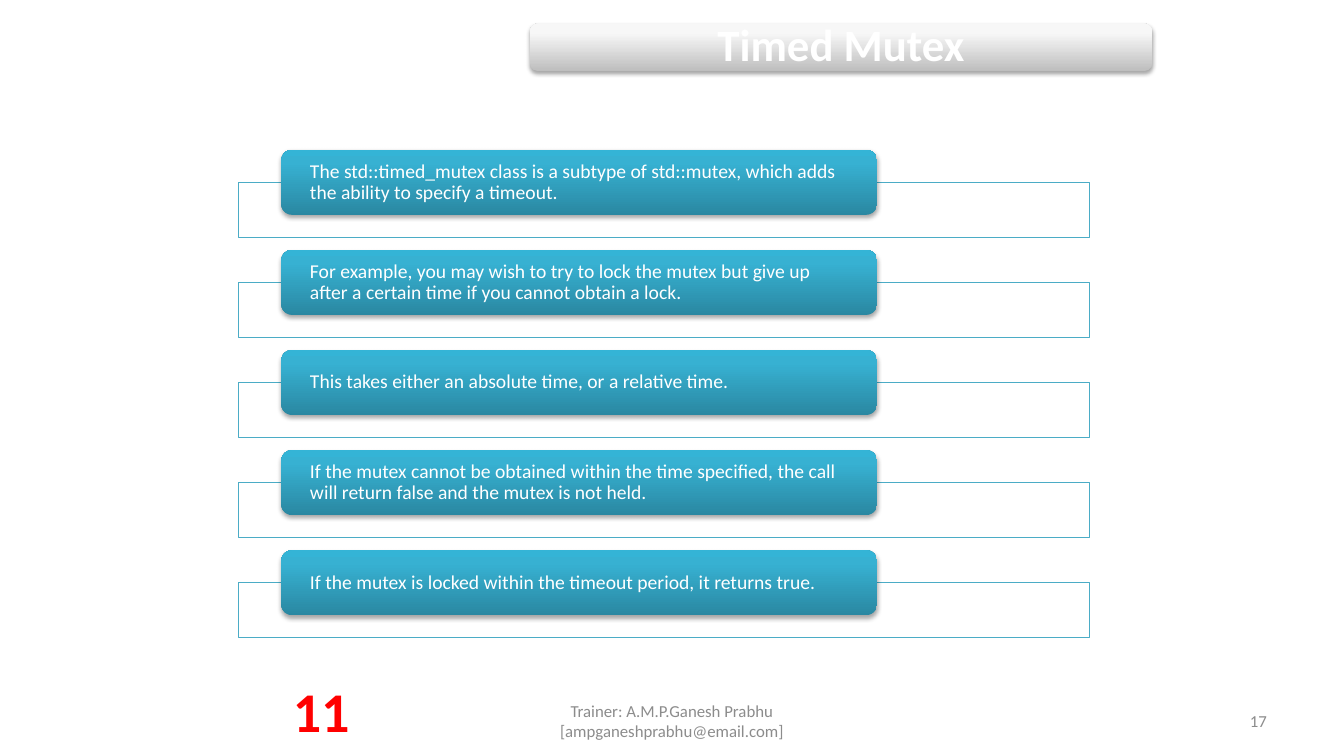
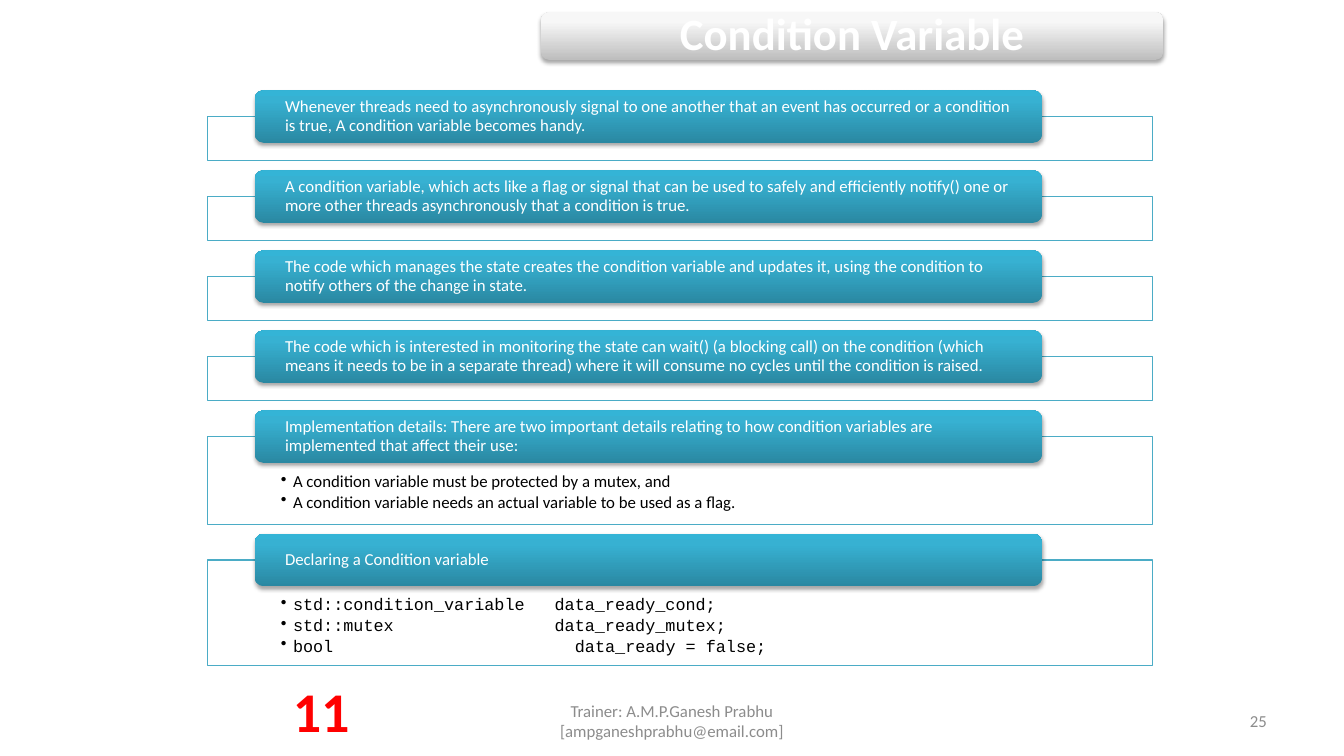
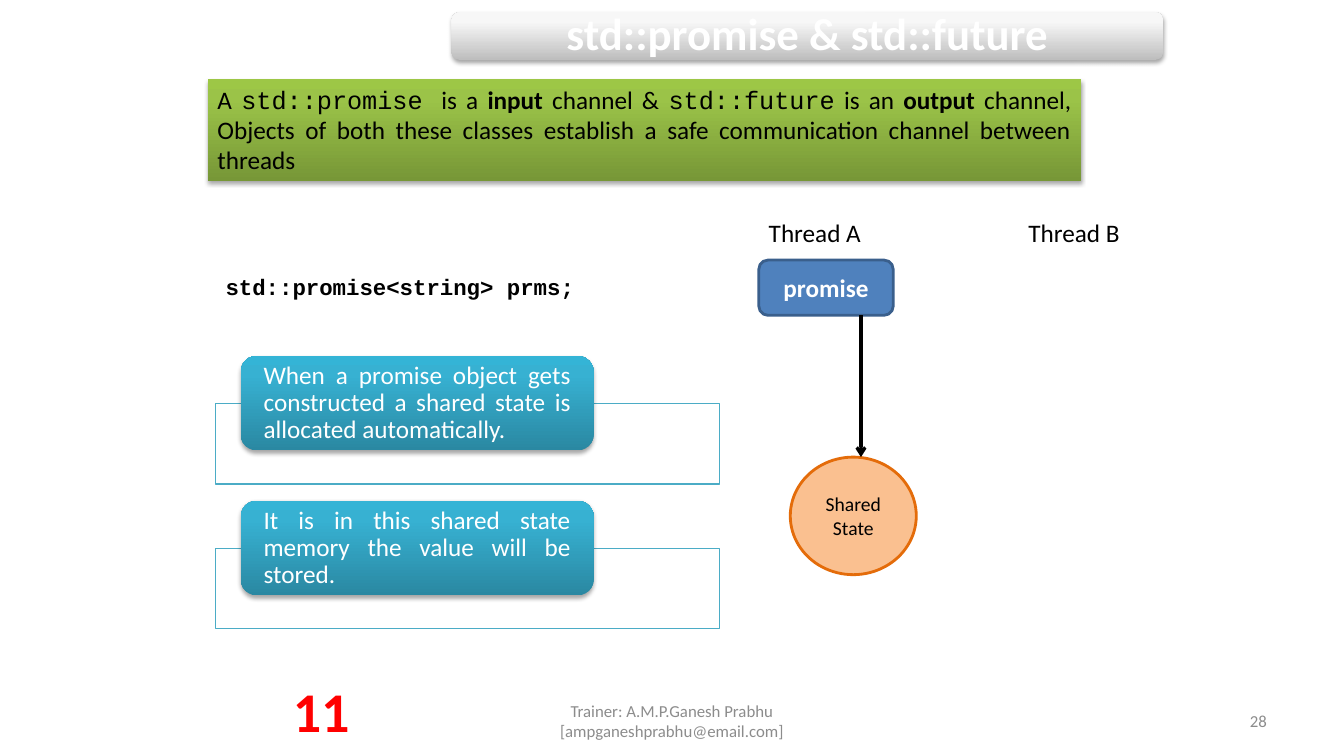
from lxml import etree
from pptx import Presentation
from pptx.dml.color import RGBColor
from pptx.enum.shapes import MSO_CONNECTOR, MSO_SHAPE
from pptx.enum.text import MSO_ANCHOR, PP_ALIGN
from pptx.oxml.ns import qn
from pptx.util import Pt

RECT, ROUND, OVAL = MSO_SHAPE.RECTANGLE, MSO_SHAPE.ROUNDED_RECTANGLE, MSO_SHAPE.OVAL
STRAIGHT = MSO_CONNECTOR.STRAIGHT
TOP, MIDDLE = MSO_ANCHOR.TOP, MSO_ANCHOR.MIDDLE
LEFT, CENTER, RIGHT = PP_ALIGN.LEFT, PP_ALIGN.CENTER, PP_ALIGN.RIGHT
JUSTIFY = PP_ALIGN.JUSTIFY

# Shared style
BODY, CODE = "Calibri", "Courier New"
WHITE, BLACK, GREY, RED = "FFFFFF", "000000", "8C8C8C", "FF0000"
FRAME_LINE = "4BACC6"
TEAL = ("2A88A2", "37B1D2", "34B4D6")
SILVER = ("BEBEBE", "F7F7F7", "F8F8F8")
GREEN = ("779737", "9BC348", "9DC746")
INSETS = (7.2, 3.6, 7.2, 3.6)


def rgb(color):
    return RGBColor.from_string(color)


def add_xml(parent, tag, **attrs):
    return etree.SubElement(parent, qn(tag), {k: str(v) for k, v in attrs.items()})


class Deck:
    def __init__(self):
        self.prs = Presentation()
        self.prs.slide_width, self.prs.slide_height = Pt(960), Pt(540)
        self.s = None

    def slide(self, title, left, top, width, number):
        """Start a slide with its title band and footer."""
        self.s = self.prs.slides.add_slide(self.prs.slide_layouts[6])
        sp = self.glossy(ROUND, left, top, width, 34, SILVER)
        self.set_text(sp, [title], 32, WHITE, CENTER, MIDDLE, (9.4, 0, 9.4, 0),
                      bold=True, spacing=0.9)
        self.text("Trainer: A.M.P.Ganesh Prabhu [ampganeshprabhu@email.com]",
                  328, 500.5, 304, 28.75, 12, GREY, CENTER, MIDDLE)
        self.text(str(number), 688, 500.5, 224, 28.75, 12, GREY, RIGHT, MIDDLE)
        self.text("11", 201.5, 479.5, 56, 55.5, 40, RED, CENTER, bold=True)

    def set_text(self, sp, lines, size, color=BLACK, align=LEFT, anchor=TOP,
                 insets=INSETS, font=BODY, bold=False, spacing=None, bullets=False):
        """Fill a shape; a line is a string or a list of (text, font, bold)."""
        tf = sp.text_frame
        tf.word_wrap = True
        tf.vertical_anchor = anchor
        tf.margin_left, tf.margin_top, tf.margin_right, tf.margin_bottom = map(Pt, insets)
        for i, line in enumerate(lines):
            p = tf.paragraphs[0] if i == 0 else tf.add_paragraph()
            if bullets:
                line, tab = line
                self.bullet(p, tab)
                p.space_after = Pt(1.8)
            p.alignment = align
            if spacing:
                p.line_spacing = spacing
            p.font.size, p.font.name, p.font.bold = Pt(size), font, bold
            p.font.color.rgb = rgb(color)
            if isinstance(line, str):
                p.add_run().text = line
                continue
            for words, run_font, run_bold in line:
                r = p.add_run()
                r.text = words
                r.font.name, r.font.bold = run_font, run_bold

    def bullet(self, p, tab):
        pPr = p._p.get_or_add_pPr()
        pPr.set("marL", str(Pt(8.64)))
        pPr.set("indent", str(-Pt(8.64)))
        add_xml(pPr, "a:buChar", char="•")
        if tab:
            add_xml(add_xml(pPr, "a:tabLst"), "a:tab", pos=Pt(tab), algn="l")

    def text(self, words, left, top, width, height, size, *args, **style):
        sp = self.s.shapes.add_textbox(Pt(left), Pt(top), Pt(width), Pt(height))
        self.set_text(sp, [words], size, *args, **style)

    def shape(self, kind, left, top, width, height, fill=None, line=None, weight=0.75):
        sp = self.s.shapes.add_shape(kind, Pt(left), Pt(top), Pt(width), Pt(height))
        sp.shadow.inherit = False
        if fill:
            sp.fill.solid()
            sp.fill.fore_color.rgb = rgb(fill)
        if line:
            sp.line.color.rgb = rgb(line)
            sp.line.width = Pt(weight)
        else:
            sp.line.fill.background()
        return sp

    def glossy(self, kind, left, top, width, height, colors):
        """Shape with an upward gradient and a soft shadow below."""
        sp = self.shape(kind, left, top, width, height)
        spPr = sp._element.spPr
        grad = etree.Element(qn("a:gradFill"), rotWithShape="1")
        stops = add_xml(grad, "a:gsLst")
        for pos, color in zip((0, 80000, 100000), colors):
            add_xml(add_xml(stops, "a:gs", pos=pos), "a:srgbClr", val=color)
        add_xml(grad, "a:lin", ang=16200000, scaled=0)
        spPr.find(qn("a:prstGeom")).addnext(grad)
        shadow = add_xml(spPr.find(qn("a:effectLst")), "a:outerShdw", blurRad=Pt(3.1),
                         dist=Pt(1.8), dir=5400000, rotWithShape=0)
        add_xml(add_xml(shadow, "a:srgbClr", val=BLACK), "a:alpha", val=35000)
        return sp

    def stack(self, rows, left, top, width, tab_width, tab_height, gap, size, inset,
              align=LEFT):
        """Tabs overlapping frames; rows are (text, frame height, points, font)."""
        for words, height, points, font in rows:
            frame_top = top + tab_height / 2
            frame = self.shape(RECT, left, frame_top, width, height, WHITE, FRAME_LINE)
            if points:
                self.set_text(frame, points, size, insets=(52.4, 26, 52.4, 6.5),
                              font=font, spacing=0.9, bullets=True)
            tab = self.glossy(ROUND, left + width * 0.05, top, tab_width, tab_height, TEAL)
            self.set_text(tab, [words], size, WHITE, align, MIDDLE,
                          (inset, 0, inset, 0), spacing=0.9)
            top = frame_top + height + gap

    def arrow(self, x1, y1, x2, y2):
        c = self.s.shapes.add_connector(STRAIGHT, Pt(x1), Pt(y1), Pt(x2), Pt(y2))
        c.line.color.rgb = rgb(BLACK)
        c.line.width = Pt(2.25)
        spPr = c._element.spPr
        add_xml(spPr.find(qn("a:ln")), "a:tailEnd", type="arrow")
        add_xml(spPr, "a:effectLst")


def plain_rows(texts, height):
    return [(words, height, None, BODY) for words in texts]


def timed_mutex(deck):
    deck.slide("Timed Mutex", 378.5, 16.75, 444.5, 17)
    deck.stack(plain_rows([
        "The std::timed_mutex class is a subtype of std::mutex, which adds the ability "
        "to specify a timeout.",
        "For example, you may wish to try to lock the mutex but give up after a certain "
        "time if you cannot obtain a lock.",
        "This takes either an absolute time, or a relative time.",
        "If the mutex cannot be obtained within the time specified, the call will return "
        "false and the mutex is not held.",
        "If the mutex is locked within the timeout period, it returns true.",
    ], 39.5), 170.5, 107, 608, 425.5, 46.5, 8.75, 14, 18.25)


def condition_variable(deck):
    deck.slide("Condition Variable", 386.5, 8.75, 444.5, 25)
    rows = plain_rows([
        "Whenever threads need to asynchronously signal to one another that an event has "
        "occurred or a condition is true, A condition variable becomes handy.",
        "A condition variable, which acts like a flag or signal that can be used to safely "
        "and efficiently notify() one or more other threads asynchronously that a "
        "condition is true.",
        "The code which manages the state creates the condition variable and updates it, "
        "using the condition to notify others of the change in state.",
        "The code which is interested in monitoring the state can wait() (a blocking call) "
        "on the condition (which means it needs to be in a separate thread) where it will "
        "consume no cycles until the condition is raised.",
    ], 31.5)
    rows += [
        ("Implementation details: There are two important details relating to how "
         "condition variables are implemented that affect their use:", 62.5,
         [("A condition variable must be protected by a mutex, and", None),
          ("A condition variable needs an actual variable to be used as a flag.", None)],
         BODY),
        ("Declaring a Condition variable", 75.5,
         [("std::condition_variable\tdata_ready_cond;", 195.5),
          ("std::mutex\tdata_ready_mutex;", 195.5),
          ("bool\tdata_ready = false;", 210)], CODE),
    ]
    deck.stack(rows, 148.25, 64.5, 675.25, 562.25, 37.5, 6.9, 12, 19.75)


def promise_future(deck):
    deck.slide("std::promise & std::future", 322.5, 8.75, 508.5, 28)

    # Definition
    sp = deck.glossy(RECT, 148.25, 56.5, 624, 72.5, GREEN)
    deck.set_text(sp, [[
        ("A ", BODY, False), ("std::promise ", CODE, False), ("is a ", BODY, False),
        ("input", BODY, True), (" channel & ", BODY, False), ("std::future", CODE, False),
        (" is an ", BODY, False), ("output", BODY, True),
        (" channel, Objects of both these classes establish a safe communication channel "
         "between threads", BODY, False),
    ]], 18, align=JUSTIFY)
    deck.text("std::promise<string> prms;", 154, 191.5, 286.5, 26.75, 16,
              font=CODE, bold=True)

    # Thread diagram
    for words, left in (("Thread A", 542), ("Thread B", 727.5)):
        deck.text(words, left, 152, 90, 29, 18)
    state = deck.shape(OVAL, 564.5, 326.5, 90, 84, "FAC090", "E46C0A", 2)
    deck.set_text(state, ["Shared State"], 14, align=CENTER, anchor=MIDDLE)
    promise = deck.shape(ROUND, 542, 185.75, 96, 39.5, "4F81BD", "3A5F8C", 2)
    deck.set_text(promise, ["promise"], 18, WHITE, CENTER, MIDDLE, bold=True)
    deck.arrow(615, 225.25, 615, 326.5)

    # Explanation
    deck.stack(plain_rows([
        "When a promise object gets constructed a shared state is allocated automatically.",
        "It is in this shared state memory the value will be stored.",
    ], 57.75), 154, 254.25, 360, 252, 67.5, 12, 18, 13, JUSTIFY)


def main():
    deck = Deck()
    timed_mutex(deck)
    condition_variable(deck)
    promise_future(deck)
    deck.prs.save("out.pptx")


if __name__ == "__main__":
    main()
